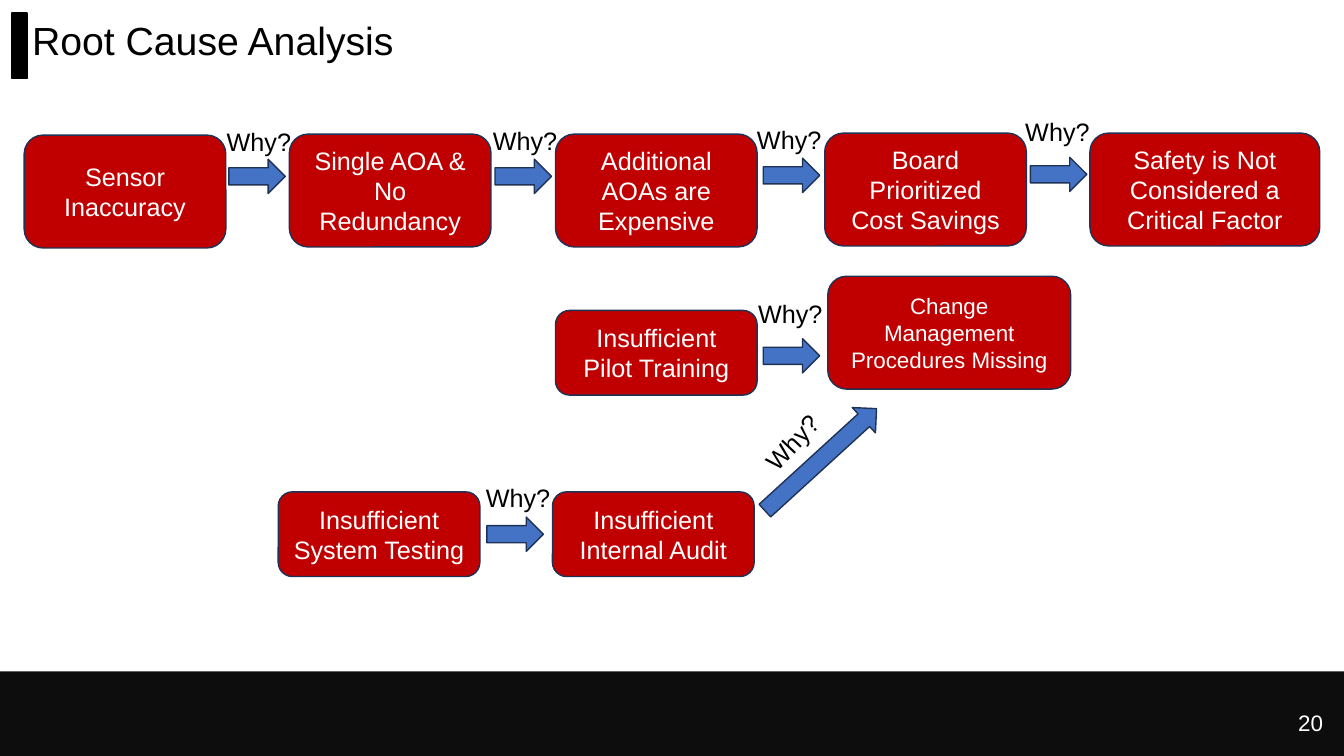
from dataclasses import dataclass

from pptx import Presentation
from pptx.dml.color import RGBColor
from pptx.enum.shapes import MSO_SHAPE as Preset
from pptx.enum.text import MSO_ANCHOR as Anchor, PP_ALIGN as Align
from pptx.shapes.autoshape import Shape
from pptx.slide import Slide
from pptx.util import Emu, Pt

EMU_PER_PX = 9144  # 100 px to the inch
SLIDE_WIDTH, SLIDE_HEIGHT = 1333, 750
FONT = "Arial"
BLACK, WHITE, FOOTER = "000000", "FFFFFF", "0D0D0D"
RED, BLUE, NAVY = "C00000", "4472C4", "1E3256"


@dataclass(frozen=True)
class Area:
    left: int
    top: int
    width: int
    height: int
    rotation: float = 0


@dataclass(frozen=True)
class Cause:
    text: str
    left: int
    top: int
    width: int = 200
    height: int = 112
    size: int = 18


@dataclass(frozen=True)
class Why:
    """An arrow and the question beside it."""
    arrow_left: int
    arrow_top: int
    label_left: int
    label_top: int
    arrow_width: int = 56
    label_width: int = 88
    arrow_rotation: float = 0
    label_rotation: float = 0


CAUSES = [
    Cause("Sensor Inaccuracy", 24, 134),
    Cause("Single AOA & No Redundancy", 287, 133),
    Cause("Additional AOAs are Expensive", 551, 133),
    Cause("Board Prioritized Cost Savings", 818, 132),
    Cause("Safety is Not Considered a Critical Factor", 1081, 132, width=228),
    Cause("Insufficient Pilot Training", 551, 308, height=84),
    Cause("Change Management Procedures Missing", 821, 274, width=241, size=16),
    Cause("Insufficient System Testing", 276, 488, height=84),
    Cause("Insufficient Internal Audit", 548, 488, height=84),
]

WHYS = [
    Why(227, 158, 215, 120),
    Why(491, 158, 479, 119, label_width=113),
    Why(757, 157, 741, 118, label_width=113),
    Why(1022, 156, 1007, 111),
    Why(757, 336, 742, 291),
    Why(483, 513, 472, 474),
    Why(739, 439, 743, 417, arrow_width=150,
        arrow_rotation=317.6, label_rotation=313.3),
]


def px(length: int) -> Emu:
    return Emu(length * EMU_PER_PX)


def color(value: str) -> RGBColor:
    return RGBColor.from_string(value)


def write(shape: Shape, text: str, size: int, font_color: str,
          align: Align = Align.LEFT, anchor: Anchor = Anchor.MIDDLE,
          line_spacing: float = 1.0) -> None:
    frame = shape.text_frame
    frame.word_wrap = True
    frame.vertical_anchor = anchor
    para = frame.paragraphs[0]
    para.alignment = align
    para.line_spacing = line_spacing
    span = para.add_run()
    span.text = text
    span.font.name = FONT
    span.font.size = Pt(size)
    span.font.color.rgb = color(font_color)


def add_preset(page: Slide, preset: Preset, area: Area, fill: str,
               line: str | None = None) -> Shape:
    shape = page.shapes.add_shape(
        preset, px(area.left), px(area.top), px(area.width), px(area.height))
    shape.rotation = area.rotation
    shape.shadow.inherit = False
    shape.fill.solid()
    shape.fill.fore_color.rgb = color(fill)
    if line:
        shape.line.color.rgb = color(line)
        shape.line.width = Pt(1)
    else:
        shape.line.fill.background()
    return shape


def add_text(page: Slide, area: Area) -> Shape:
    box = page.shapes.add_textbox(
        px(area.left), px(area.top), px(area.width), px(area.height))
    box.rotation = area.rotation
    return box


def add_cause(page: Slide, cause: Cause) -> None:
    area = Area(cause.left, cause.top, cause.width, cause.height)
    box = add_preset(page, Preset.ROUNDED_RECTANGLE, area, RED, NAVY)
    write(box, cause.text, cause.size, WHITE, Align.CENTER)


def add_why(page: Slide, why: Why) -> None:
    arrow = Area(why.arrow_left, why.arrow_top, why.arrow_width, 34,
                 why.arrow_rotation)
    add_preset(page, Preset.RIGHT_ARROW, arrow, BLUE, NAVY)
    label = Area(why.label_left, why.label_top, why.label_width, 40,
                 why.label_rotation)
    write(add_text(page, label), "Why?", 18, BLACK, anchor=Anchor.TOP)


def add_frame(page: Slide) -> None:
    """Draw the title with its marker, and the footer with the page number."""
    add_preset(page, Preset.RECTANGLE, Area(12, 13, 15, 65), BLACK, BLACK)
    add_preset(page, Preset.RECTANGLE, Area(0, 666, SLIDE_WIDTH, 84), FOOTER)
    title = add_text(page, Area(22, 0, 1303, 84))
    write(title, "Root Cause Analysis", 28, BLACK, line_spacing=0.9)
    number = add_text(page, Area(1022, 697, 300, 40))
    write(number, "20", 16, WHITE, Align.RIGHT)


def main() -> None:
    deck = Presentation()
    deck.slide_width, deck.slide_height = px(SLIDE_WIDTH), px(SLIDE_HEIGHT)
    page = deck.slides.add_slide(deck.slide_layouts[6])
    add_frame(page)
    for cause in CAUSES:
        add_cause(page, cause)
    for why in WHYS:
        add_why(page, why)
    deck.save("out.pptx")


if __name__ == "__main__":
    main()
